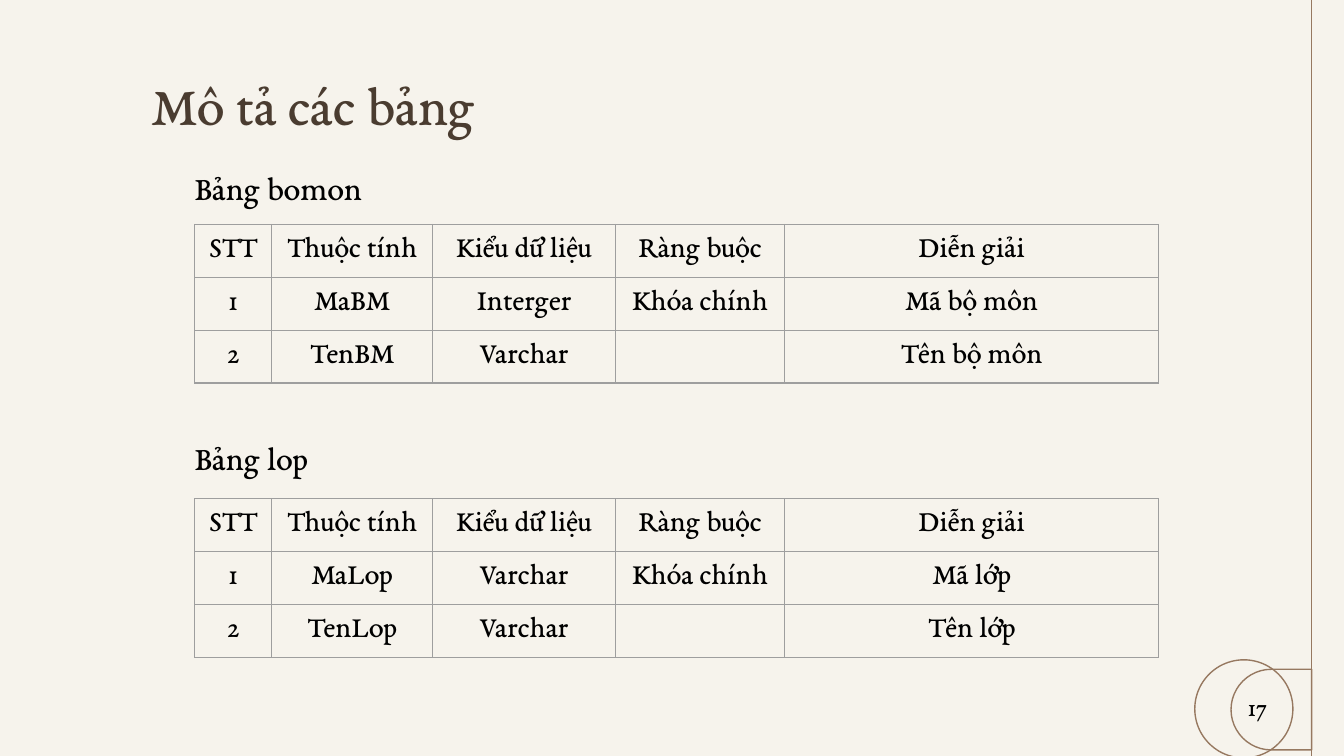
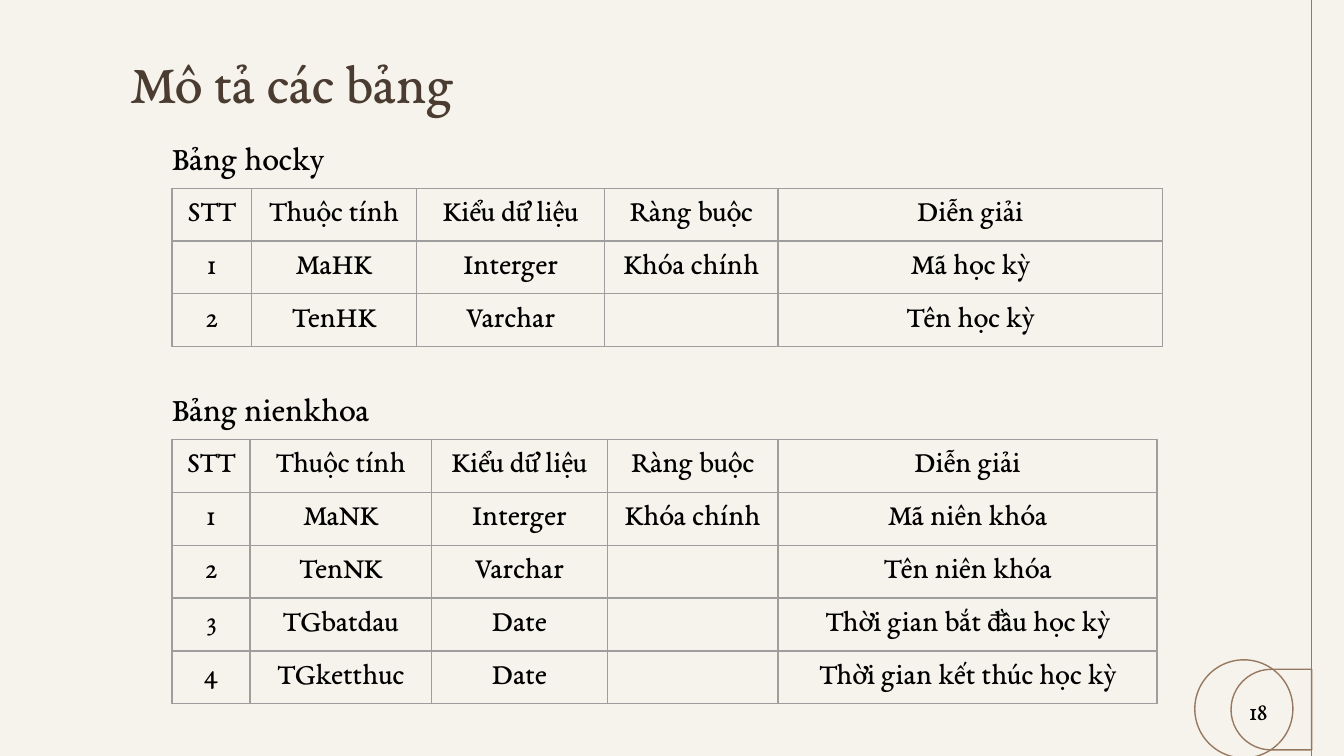
import pptx
import pptx.util
import pptx.dml.color
import pptx.enum.shapes
import pptx.enum.text
import pptx.oxml.ns
from lxml import etree

Inches = pptx.util.Inches
Pt = pptx.util.Pt
RGBColor = pptx.dml.color.RGBColor
Shapes = pptx.enum.shapes.MSO_SHAPE
Align = pptx.enum.text.PP_ALIGN
Anchor = pptx.enum.text.MSO_ANCHOR
qn = pptx.oxml.ns.qn

CREAM = RGBColor(0xF6, 0xF3, 0xEC)
BRONZE = RGBColor(0x96, 0x78, 0x60)
BROWN = RGBColor(0x4A, 0x3C, 0x30)
BLACK = RGBColor(0, 0, 0)
GREY = RGBColor(0x9E, 0x9E, 0x9E)

FONT = "EB Garamond"
WIDTH, HEIGHT = 10, 10 * 9 / 16
ROW_HEIGHT = 1.18 / 3
CAPTION_INDENT = 0.1
CELL_SIZE = 16
LINE_WIDTH = 0.75
PLAIN_TABLE = "{2D5ABB26-0587-4C30-8999-92F81FD0307C}"

TITLE = "Mô tả các bảng"
HEADER = ("STT", "Thuộc tính", "Kiểu dữ liệu", "Ràng buộc", "Diễn giải")
KEY = "Khóa chính"
NARROW_COLUMNS = (0.57, 1.2, 1.36, 1.26, 2.78)

SLIDES = [
    {
        "title_at": (1.03, 0.42),
        "number": ("17", 9.19, 5.09),
        "table_left": 1.45,
        "tables": [
            {
                "caption": ("Bảng bomon", 1.19, 1.54),
                "top": 1.67,
                "columns": NARROW_COLUMNS,
                "fields": [
                    ("MaBM", "Interger", KEY, "Mã bộ môn"),
                    ("TenBM", "Varchar", "", "Tên bộ môn"),
                ],
            },
            {
                "caption": ("Bảng lop", 3.2, 1.54),
                "top": 3.71,
                "columns": NARROW_COLUMNS,
                "fields": [
                    ("MaLop", "Varchar", KEY, "Mã lớp"),
                    ("TenLop", "Varchar", "", "Tên lớp"),
                ],
            },
        ],
    },
    {
        "title_at": (0.87, 0.25),
        "number": ("18", 9.2, 5.12),
        "table_left": 1.28,
        "tables": [
            {
                "caption": ("Bảng hocky", 0.97, 1.57),
                "top": 1.4,
                "columns": (0.59, 1.23, 1.4, 1.29, 2.86),
                "fields": [
                    ("MaHK", "Interger", KEY, "Mã học kỳ"),
                    ("TenHK", "Varchar", "", "Tên học kỳ"),
                ],
            },
            {
                "caption": ("Bảng nienkhoa", 2.84, 1.91),
                "top": 3.27,
                "columns": (0.58, 1.35, 1.31, 1.27, 2.82),
                "fields": [
                    ("MaNK", "Interger", KEY, "Mã niên khóa"),
                    ("TenNK", "Varchar", "", "Tên niên khóa"),
                    ("TGbatdau", "Date", "", "Thời gian bắt đầu học kỳ"),
                    ("TGketthuc", "Date", "", "Thời gian kết thúc học kỳ"),
                ],
            },
        ],
    },
]


def write(text_frame, text, size=18, color=BLACK, align=Align.LEFT):
    paragraph = text_frame.paragraphs[0]
    paragraph.alignment = align
    if not text:
        etree.SubElement(paragraph._p, qn("a:endParaRPr"), sz=str(size * 100))
        return
    run = paragraph.add_run()
    run.text = text
    run.font.name = FONT
    run.font.size = Pt(size)
    run.font.color.rgb = color


def add_label(slide, text, left, top, width, height, size):
    box = slide.shapes.add_textbox(*map(Inches, (left, top, width, height)))
    box.text_frame.word_wrap = True
    write(box.text_frame, text, size=size)


def add_title(slide, left, top):
    title = slide.shapes.title
    title.left, title.top = Inches(left), Inches(top)
    title.width, title.height = Inches(8.43), Inches(0.63)
    frame = title.text_frame
    frame.word_wrap = True
    frame.auto_size = pptx.enum.text.MSO_AUTO_SIZE.NONE
    frame.vertical_anchor = Anchor.TOP
    frame.margin_left = frame.margin_right = Inches(0.1)
    frame.margin_top = frame.margin_bottom = Inches(0.1)
    write(frame, TITLE, size=30, color=BROWN)


def outline(shape):
    shape.line.color.rgb = BRONZE
    shape.line.width = Pt(LINE_WIDTH)


def add_ornament(slide):
    edge = slide.shapes.add_connector(
        pptx.enum.shapes.MSO_CONNECTOR.STRAIGHT,
        *map(Inches, (9.76, -0.03, 9.76, 5.65)))
    etree.SubElement(edge._element.spPr, qn("a:effectLst"))
    outline(edge)
    circle = slide.shapes.add_shape(
        Shapes.OVAL, *map(Inches, (8.89, 4.91, 0.73, 0.73)))
    tab = slide.shapes.add_shape(
        Shapes.ROUND_2_SAME_RECTANGLE, *map(Inches, (9.16, 4.98, 0.6, 0.6)))
    tab.rotation = 270
    tab.adjustments[0], tab.adjustments[1] = 0.5, 0
    for shape in (circle, tab):
        shape.shadow.inherit = False
        shape.fill.background()
        outline(shape)


def add_borders(cell):
    properties = cell._tc.get_or_add_tcPr()
    for side in ("lnL", "lnR", "lnT", "lnB"):
        border = etree.SubElement(
            properties, qn("a:" + side), w=str(Pt(LINE_WIDTH)))
        fill = etree.SubElement(border, qn("a:solidFill"))
        etree.SubElement(fill, qn("a:srgbClr"), val=str(GREY))


def format_cell(cell, text):
    cell.margin_left = cell.margin_right = Inches(0.07)
    cell.margin_top = cell.margin_bottom = Inches(0.05)
    cell.vertical_anchor = Anchor.MIDDLE
    add_borders(cell)
    cell.fill.background()
    write(cell.text_frame, text, size=CELL_SIZE, align=Align.CENTER)


def add_field_table(slide, left, top, columns, fields):
    rows = [HEADER]
    rows += [(str(index), *field) for index, field in enumerate(fields, 1)]
    frame = slide.shapes.add_table(
        len(rows), len(columns), Inches(left), Inches(top),
        Inches(sum(columns)), Inches(ROW_HEIGHT * len(rows)))
    table = frame.table
    table.first_row = table.horz_banding = False
    table._tbl.tblPr.find(qn("a:tableStyleId")).text = PLAIN_TABLE
    for column, width in zip(table.columns, columns):
        column.width = Inches(width)
    for row, values in zip(table.rows, rows):
        row.height = Inches(ROW_HEIGHT)
        for cell, value in zip(row.cells, values):
            format_cell(cell, value)


def add_description_slide(presentation, content):
    slide = presentation.slides.add_slide(presentation.slide_layouts[5])
    add_ornament(slide)
    add_title(slide, *content["title_at"])
    left = content["table_left"]
    for entry in content["tables"]:
        add_field_table(
            slide, left, entry["top"], entry["columns"], entry["fields"])
        text, top, width = entry["caption"]
        add_label(slide, text, left - CAPTION_INDENT, top, width, 0.4, 18)
    add_label(slide, *content["number"], 0.41, 0.34, 14)


def main():
    presentation = pptx.Presentation()
    presentation.slide_width = Inches(WIDTH)
    presentation.slide_height = Inches(HEIGHT)
    background = presentation.slide_master.background.fill
    background.solid()
    background.fore_color.rgb = CREAM
    for content in SLIDES:
        add_description_slide(presentation, content)
    presentation.save("out.pptx")


if __name__ == "__main__":
    main()
